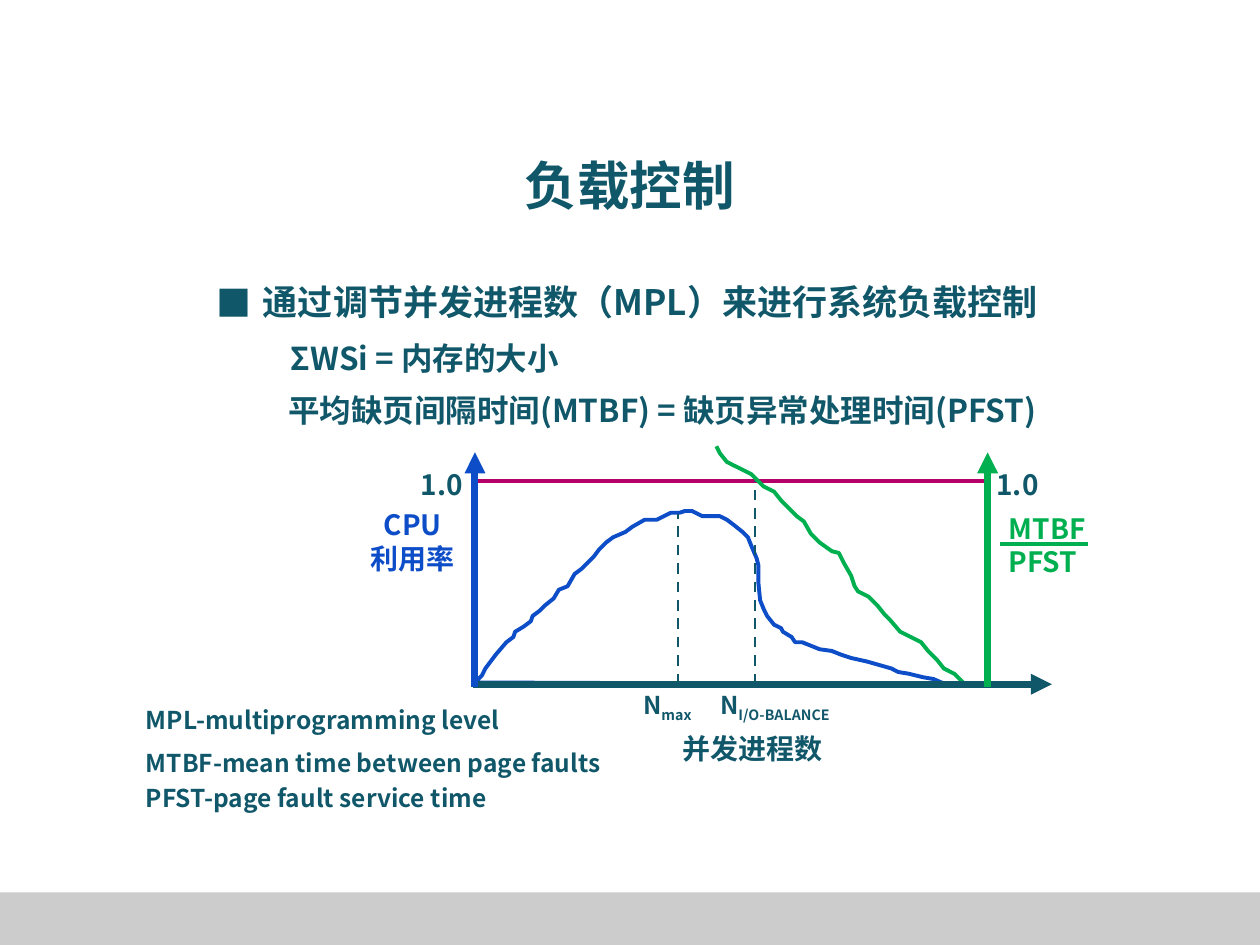
from collections import namedtuple
from dataclasses import dataclass

from lxml import etree
from pptx import Presentation
from pptx.dml.color import RGBColor
from pptx.enum.dml import MSO_LINE
from pptx.enum.shapes import MSO_CONNECTOR, MSO_SHAPE
from pptx.enum.text import PP_ALIGN
from pptx.oxml.ns import qn
from pptx.util import Pt

STRAIGHT = MSO_CONNECTOR.STRAIGHT
RECTANGLE = MSO_SHAPE.RECTANGLE
DASH = MSO_LINE.DASH
LEFT, CENTER = PP_ALIGN.LEFT, PP_ALIGN.CENTER

Box = namedtuple("Box", "left top width height")


@dataclass(frozen=True)
class Theme:
    """Colours, fonts, type sizes and line widths of the slide."""
    ink: str = "11576A"
    blue: str = "0E4DC8"
    green: str = "00B050"
    limit: str = "B50069"
    band: str = "CCCCCC"
    font: str = "Noto Sans CJK SC"
    bullet_font: str = "Noto Sans CJK JP"
    title: int = 30
    point: int = 20
    formula: int = 18
    label: int = 16
    note: int = 14
    leading: float = 1.2
    axis: float = 4
    curve: float = 2.25
    guide: float = 1.5


THEME = Theme()

CPU_CURVE = [
    (0, 1), (4, 5), (6, 9), (9, 13), (12, 17), (18, 24), (22, 27), (23, 30),
    (28, 33), (32, 36), (33, 39), (37, 42), (40, 45), (45, 49), (48, 54),
    (53, 56), (57, 63), (61, 66), (65, 70), (68, 73), (71, 77), (75, 81),
    (79, 84), (86, 87), (90, 90), (97, 94), (104, 94), (108, 96), (112, 98),
    (117, 98), (120, 99), (124, 99), (126, 98), (130, 96), (135, 96),
    (140, 96), (144, 94), (148, 91), (153, 87), (156, 84), (158, 79),
    (161, 72), (162, 68), (162, 58), (163, 48), (165, 43), (167, 39),
    (171, 34), (175, 32), (176, 30), (181, 27), (183, 24), (187, 24),
    (192, 22), (197, 20), (204, 19), (209, 17), (215, 15), (224, 13),
    (231, 11), (238, 9), (242, 7), (248, 6), (256, 4), (262, 3), (269, 0),
    (0, 1),
]
FAULT_CURVE = [
    (138, 136), (140, 132), (144, 127), (148, 125), (154, 122), (158, 120),
    (161, 117), (165, 113), (171, 110), (175, 105), (181, 99), (184, 96),
    (188, 93), (192, 86), (197, 81), (204, 76), (208, 75), (211, 69),
    (215, 62), (217, 56), (219, 53), (225, 50), (230, 45), (234, 40),
    (237, 37), (243, 30), (249, 27), (255, 24), (259, 19), (264, 14),
    (268, 9), (274, 6), (279, 1), (279, -1),
]


def add_text(page, box, text, size, color=THEME.ink, font=THEME.font,
             align=LEFT, wrap=True, spacing=1, before=0, sub=""):
    """Place bold text in a box, one paragraph per line, with an optional subscript."""
    frame = page.shapes.add_textbox(*map(Pt, box)).text_frame
    frame.word_wrap = wrap
    for index, line in enumerate(text.split("\n")):
        para = frame.paragraphs[0] if index == 0 else frame.add_paragraph()
        para.alignment = align
        para.line_spacing = Pt(round(size * THEME.leading * spacing, 1))
        para.space_before = Pt(before if index else 0)
        for words in filter(None, (line, sub)):
            span = para.add_run()
            span.text = words
            span.font.size = Pt(size)
            span.font.bold = True
            span.font.color.rgb = RGBColor.from_string(color)
            span.font.name = font
            props = span.font._element
            etree.SubElement(props, qn("a:ea"), typeface=font)
            if words == sub:
                props.set("baseline", "-25000")


def add_line(page, start, end, color, width, dash=None, arrow=False):
    """Draw a straight line, with an arrowhead at its end if asked."""
    line = page.shapes.add_connector(STRAIGHT, *map(Pt, start + end))
    line.line.color.rgb = RGBColor.from_string(color)
    line.line.width = Pt(width)
    if dash is not None:
        line.line.dash_style = dash
    if arrow:
        etree.SubElement(line.line._get_or_add_ln(), qn("a:tailEnd"), type="triangle")
    etree.SubElement(line._element.spPr, qn("a:effectLst"))


def add_curve(page, origin, points, color):
    """Draw an unfilled curve through points measured up and right from the origin."""
    local = [(x, -y) for x, y in points]
    builder = page.shapes.build_freeform(*local[0], scale=Pt(1))
    builder.add_line_segments(local[1:], close=False)
    curve = builder.convert_to_shape(*map(Pt, origin))
    curve.shadow.inherit = False
    curve.fill.background()
    curve.line.color.rgb = RGBColor.from_string(color)
    curve.line.width = Pt(THEME.curve)


def add_band(page, box):
    """Fill the grey band at the foot of the slide."""
    band = page.shapes.add_shape(RECTANGLE, *map(Pt, box))
    band.shadow.inherit = False
    band.fill.solid()
    band.fill.fore_color.rgb = RGBColor.from_string(THEME.band)
    band.line.fill.background()


def add_points(page, box):
    """Write the bulleted statement and its two formulas."""
    left, top, width, _ = box
    add_text(page, Box(left, top + 1, 34, 32), "■", THEME.point, font=THEME.bullet_font)
    add_text(page, Box(left + 26.6, top, 498, 32),
             "通过调节并发进程数（MPL）来进行系统负载控制", THEME.point)
    add_text(page, Box(left + 42.5, top + 36, 223, 27), "ΣWSi = 内存的大小",
             THEME.formula, spacing=0.9)
    add_text(page, Box(left + 41, top + 65.5, width - 41, 27),
             "平均缺页间隔时间(MTBF) = 缺页异常处理时间(PFST)",
             THEME.formula, spacing=0.9)


def add_plot(page, box):
    """Draw the load curves with their axes, guides and labels."""
    left, top, width, height = box
    right, base, limit = left + width, top + height, top + 16.5
    add_curve(page, (left, base), CPU_CURVE, THEME.blue)
    add_line(page, (left + 1.5, limit), (right - 2, limit), THEME.limit, THEME.curve)

    guides = [(116, 35, 47, "max"), (160, 16.5, 91, "I/O-BALANCE")]
    for x, drop, label_width, name in guides:
        add_line(page, (left + x, base), (left + x, top + drop),
                 THEME.ink, THEME.guide, dash=DASH)
        add_text(page, Box(left + x - 27, base + 2, label_width, 24), "N",
                 THEME.note, wrap=False, sub=name)

    add_curve(page, (left, base), FAULT_CURVE, THEME.green)
    add_line(page, (left - 1, base), (right + 36.7, base), THEME.ink, THEME.axis, arrow=True)
    axes = [(left, left - 38, THEME.blue), (right, right - 2, THEME.green)]
    for x, label_left, color in axes:
        add_line(page, (x, base + 1.5), (x, top), color, THEME.axis, arrow=True)
        add_text(page, Box(label_left, top + 5, 39, 27), "1.0", THEME.label, wrap=False)

    add_text(page, Box(left - 67, top + 28, 63, 46), "CPU\n利用率", THEME.label,
             color=THEME.blue, align=CENTER, wrap=False)
    add_text(page, Box(right + 5, top + 30, 61, 46), "MTBF\nPFST", THEME.label,
             color=THEME.green, wrap=False)
    add_line(page, (right + 7, top + 52.5), (right + 57.5, top + 52.5),
             THEME.green, THEME.curve)
    add_text(page, Box(left + 111.6, base + 27.3, 94, 23), "并发进程数", THEME.label,
             align=CENTER, wrap=False, spacing=0.8)


def add_glossary(page, box):
    """Spell out the abbreviations."""
    left, top, width, _ = box
    add_text(page, Box(left, top, width, 24.5), "MPL-multiprogramming level", THEME.note)
    add_text(page, Box(left, top + 24.5, width, 44.5),
             "MTBF-mean time between page faults\nPFST-page fault service time",
             THEME.note, before=2.8)


def main():
    """Build the load control slide and save it."""
    deck = Presentation()
    deck.slide_width, deck.slide_height = Pt(720), Pt(540)
    page = deck.slides.add_slide(deck.slide_layouts[6])
    add_band(page, Box(0, 510, 720, 30))
    add_text(page, Box(0, 84, 720, 44), "负载控制", THEME.title, align=CENTER)
    add_points(page, Box(116.6, 156.5, 552, 92))
    add_plot(page, Box(271.4, 258.5, 293, 132.5))
    add_glossary(page, Box(76.3, 399.6, 296, 69))
    deck.save("out.pptx")


if __name__ == "__main__":
    main()
